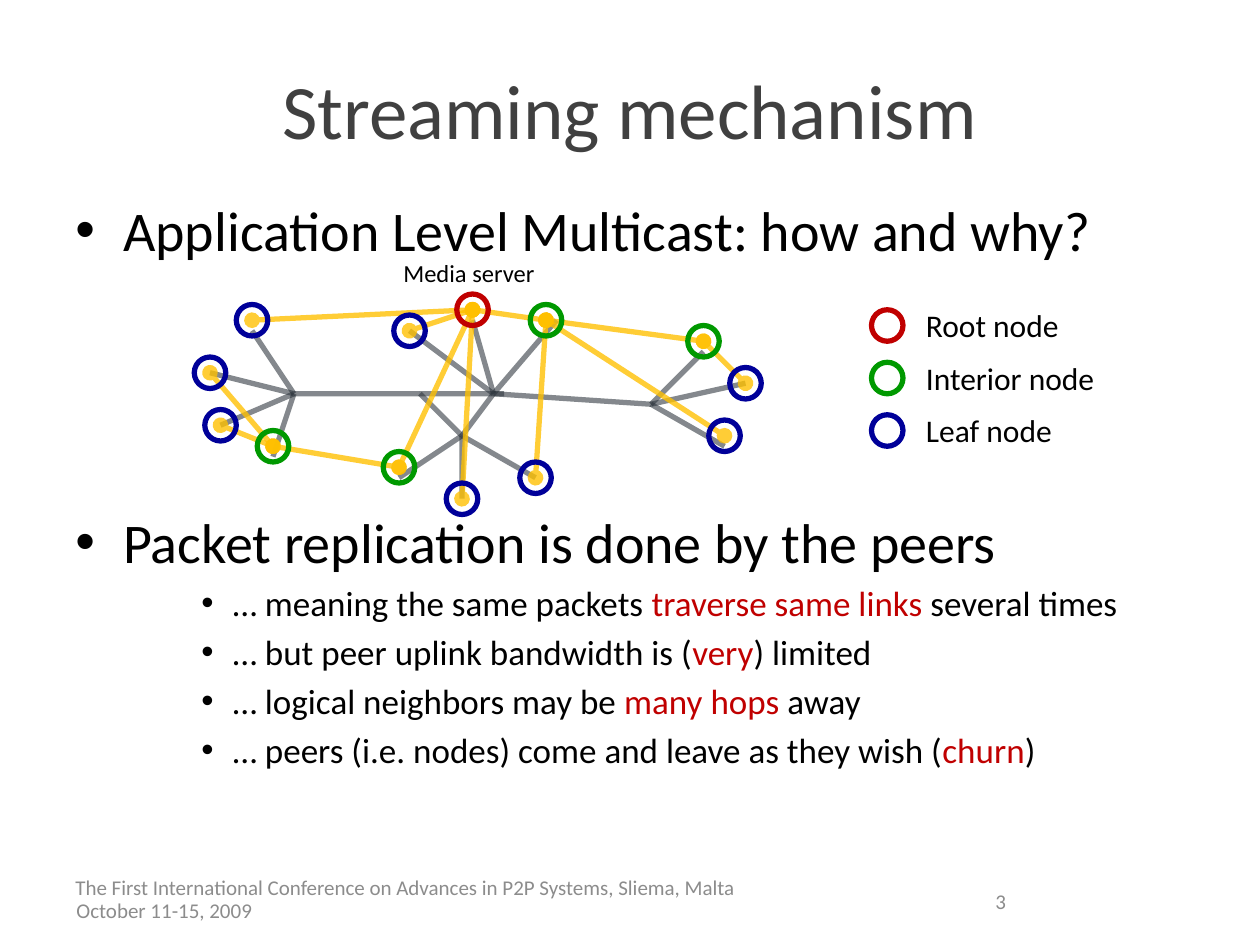
from typing import NamedTuple

from lxml import etree
from pptx import Presentation, util as u
from pptx.dml.color import RGBColor
from pptx.enum import shapes, text
from pptx.oxml.ns import qn

BLACK = RGBColor(0, 0, 0)
DARK = RGBColor(0x40, 0x40, 0x40)
GRAY = RGBColor(0x8C, 0x8C, 0x8C)
SLATE = RGBColor(0x2E, 0x36, 0x3E)
GOLD = RGBColor(0xFF, 0xC0, 0x00)
RED = RGBColor(0xC0, 0x00, 0x00)
GREEN = RGBColor(0x00, 0x99, 0x00)
BLUE = RGBColor(0x00, 0x00, 0x99)
LEFT, MID, RIGHT = text.PP_ALIGN.LEFT, text.PP_ALIGN.CENTER, text.PP_ALIGN.RIGHT
TOP, HALF = text.MSO_ANCHOR.TOP, text.MSO_ANCHOR.MIDDLE
COLS, ROWS = 120, 90  # twelve cells to the inch
RING = 3              # ring size in cells


class Spot(NamedTuple):
    col: float
    row: float


class Box(NamedTuple):
    col: float
    row: float
    wide: float
    high: float


class Label(NamedTuple):
    words: str
    box: Box
    size: int
    color: RGBColor
    align: text.PP_ALIGN = LEFT
    anchor: text.MSO_ANCHOR = HALF


class Point(NamedTuple):
    runs: tuple  # every second run is stressed in red
    size: int
    left: float
    hang: float
    gap: float


def cell(count: float) -> u.Length:
    return u.Inches(count / 12)


def add_box(slide, box: Box, anchor):
    frame = slide.shapes.add_textbox(*map(cell, box)).text_frame
    frame.word_wrap = True
    frame.vertical_anchor = anchor
    return frame


def add_run(para, words: str, size: int, color: RGBColor) -> None:
    run = para.add_run()
    run.text = words
    run.font.name = "Calibri"
    run.font.size = u.Pt(size)
    run.font.color.rgb = color


def add_label(slide, label: Label) -> None:
    para = add_box(slide, label.box, label.anchor).paragraphs[0]
    para.alignment = label.align
    add_run(para, label.words, label.size, label.color)


def add_points(slide, box: Box, points: list[Point]) -> None:
    frame = add_box(slide, box, TOP)
    for i, point in enumerate(points):
        para = frame.add_paragraph() if i else frame.paragraphs[0]
        para.space_before = u.Pt(point.gap)
        props = para._p.get_or_add_pPr()
        props.set("marL", str(u.Inches(point.left)))
        props.set("indent", str(-u.Inches(point.hang)))
        etree.SubElement(props, qn("a:buFont"), typeface="Arial")
        etree.SubElement(props, qn("a:buChar"), char="•")
        for j, words in enumerate(point.runs):
            add_run(para, words, point.size, RED if j % 2 else BLACK)


def add_link(slide, start: Spot, end: Spot, color: RGBColor, alpha: int, dots: bool) -> None:
    ends = map(cell, (*start, *end))
    link = slide.shapes.add_connector(shapes.MSO_CONNECTOR.STRAIGHT, *ends)
    link.line.color.rgb = color
    link.line.width = u.Pt(3)
    line = link.line._get_or_add_ln()
    tint = line.find(".//" + qn("a:srgbClr"))
    etree.SubElement(tint, qn("a:alpha"), val=str(alpha * 1000))
    if dots:
        for tip in ("a:headEnd", "a:tailEnd"):
            etree.SubElement(line, qn(tip), type="oval")
    etree.SubElement(link._element.spPr, qn("a:effectLst"))


def add_ring(slide, spot: Spot, color: RGBColor) -> None:
    box = Box(spot.col - RING / 2, spot.row - RING / 2, RING, RING)
    ring = slide.shapes.add_shape(shapes.MSO_SHAPE.OVAL, *map(cell, box))
    ring.shadow.inherit = False
    ring.fill.background()
    ring.line.color.rgb = color
    ring.line.width = u.Pt(3)


ROOT = Spot(45, 29.5)
HUB, EAST, SOUTH, WEST = Spot(47, 37.5), Spot(62, 38.5), Spot(44, 41.5), Spot(28, 37.5)
FORK = Spot(40, 37.5)
NORTH, FAR, LOW, NEAR = Spot(52, 30.5), Spot(67, 32.5), Spot(38, 44.5), Spot(26, 42.5)
INNER = [NORTH, FAR, LOW, NEAR]
LEAVES = [Spot(39, 31.5), Spot(24, 30.5), Spot(20, 35.5), Spot(21, 40.5),
          Spot(44, 47.5), Spot(51, 45.5), Spot(69, 41.5), Spot(71, 36.5)]
L1, L2, L3, L4, L5, L6, L7, L8 = LEAVES

WIRES = {  # physical links, by router
    EAST: [Spot(67, 33.5), L8, Spot(69, 42.5), HUB],
    SOUTH: [L6, L5, Spot(38, 45.5), HUB, FORK],
    HUB: [L1, Spot(53, 30.5), Spot(45, 30.5)],
    FORK: [Spot(48, 37.5), WEST],
    WEST: [Spot(26, 43.5), L4, L3, Spot(24, 31.5)],
}
TREE = {  # multicast links, by parent
    ROOT: [L1, LOW, NORTH, L5, L2],
    NORTH: [FAR, L7, L6],
    FAR: [L8],
    NEAR: [LOW, L4, L3],
}
KINDS = [("Root node", RED, [ROOT]), ("Interior node", GREEN, INNER),
         ("Leaf node", BLUE, LEAVES)]

LABELS = [
    Label("Streaming mechanism", Box(6, 3.6, 108, 13.5), 44, DARK, MID),
    Label("October 11-15, 2009", Box(6.1, 85.2, 28, 3), 12, GRAY),
    Label("The First International Conference on Advances in P2P Systems, Sliema, Malta",
          Box(6, 83, 83, 3), 12, GRAY),
    Label("3", Box(89, 83.4, 8, 4.8), 12, GRAY, RIGHT),
    Label("Media server", Box(37, 24, 15.1, 4), 14, BLACK, RIGHT, TOP),
]


def head(words: str, gap: float) -> Point:
    return Point((words,), 32, 0.38, 0.38, gap)


def sub(*runs: str) -> Point:
    return Point(runs, 20, 1.25, 0.25, 4)


POINTS = [
    head("Application Level Multicast: how and why?", 0),
    head("Packet replication is done by the peers", 140),
    sub("… meaning the same packets ", "traverse same links", " several times"),
    sub("… but peer uplink bandwidth is (", "very", ") limited"),
    sub("… logical neighbors may be ", "many hops ", "away"),
    sub("… peers (i.e. nodes) come and leave as they wish (", "churn", ")"),
]


def main() -> None:
    deck = Presentation()
    deck.slide_width, deck.slide_height = cell(COLS), cell(ROWS)
    slide = deck.slides.add_slide(deck.slide_layouts[6])
    for label in LABELS:
        add_label(slide, label)
    add_points(slide, Box(6, 18, 108, 65), POINTS)
    for net, color, alpha, dots in ((WIRES, SLATE, 59, False), (TREE, GOLD, 79, True)):
        for start, ends in net.items():
            for end in ends:
                add_link(slide, start, end, color, alpha, dots)
    for i, (name, color, spots) in enumerate(KINDS):
        row = 31 + 5 * i
        for spot in [*spots, Spot(84.5, row)]:
            add_ring(slide, spot, color)
        add_label(slide, Label(name, Box(87, row - 2.4, 26, 4.8), 18, BLACK, LEFT, TOP))
    deck.save("out.pptx")


if __name__ == "__main__":
    main()
